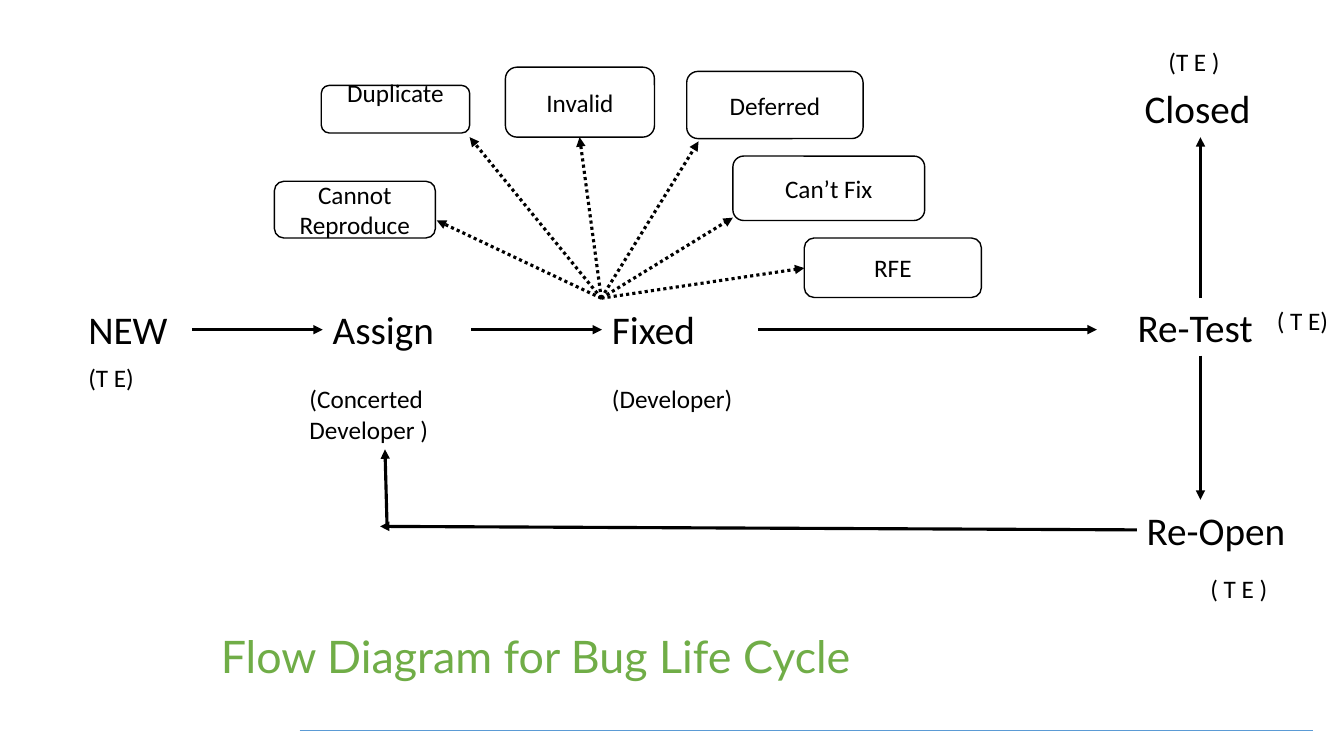
from lxml import etree
from pptx import Presentation
from pptx import util as u
from pptx.dml.color import RGBColor
from pptx.enum import dml, shapes, text
from pptx.oxml.ns import qn

BLACK, WHITE, GREEN, BLUE = "000000", "FFFFFF", "70AD47", "5B9BD5"
HUB = (429.5, 213)
FLOW_Y = 235.5
TEST_X = 857.5

STEPS = [
    ("NEW ", 56, 214.5, 81.5),
    ("Assign", 230.5, 214.5, 106),
    ("Fixed", 430, 214.5, 111.5),
    ("Re-Test", 805.5, 213, 103),
    ("Re-Open", 812, 358, 124),
]
ROLES = [
    ("(T E)", 56, 255.5, 81.5, 29),
    ("(Concerted Developer )", 214, 270.5, 122.5, 51),
    ("(Developer)", 430, 270.5, 111.5, 29),
    ("(T E )", 827.5, 29.5, 81.5, 29),
    ("( T E)", 905, 214.5, 55.5, 29),
    ("( T E )", 857.5, 406, 70, 29),
]
OUTCOMES = [
    ("Cannot Reproduce", 196, 129.5, 115, 40.5),
    ("Duplicate", 229.5, 61, 106, 34),
    ("Invalid", 361, 48, 106.5, 50),
    ("Deferred", 490.5, 51, 126, 48),
    ("Can’t Fix", 523.5, 111.5, 137, 46),
    ("RFE", 574.5, 170, 126.5, 42.5),
]
OUTCOME_TIPS = [(312, 157.5), (335.5, 98), (414, 98),
                (499, 101), (523.5, 155.5), (574.5, 191.5)]
ARROWS = [
    ((137, FLOW_Y), (230.5, FLOW_Y)),
    ((336.5, FLOW_Y), (430, FLOW_Y)),
    ((541.5, FLOW_Y), (783.5, FLOW_Y)),
    ((TEST_X, 213), (TEST_X, 98)),
    ((TEST_X, 254), (TEST_X, 357)),
    ((812, 378.5), (271.5, 376)),
    ((276.5, 376.5), (275, 321)),
]


def rgb(value):
    """Return the colour for a hex string."""
    return RGBColor.from_string(value)


def write(sp, words, size, color=BLACK, font="Calibri", align=text.PP_ALIGN.LEFT):
    """Put one formatted paragraph into a shape."""
    tf = sp.text_frame
    tf.word_wrap = True
    p = tf.paragraphs[0]
    p.text = words
    p.alignment = align
    p.font.size = u.Pt(size)
    p.font.name = font
    p.font.color.rgb = rgb(color)
    return tf


def label(s, words, x, y, w, h, size):
    """Add a plain text box."""
    sp = s.shapes.add_textbox(u.Pt(x), u.Pt(y), u.Pt(w), u.Pt(h))
    write(sp, words, size)


def box(s, words, x, y, w, h, kind, line, size, align):
    """Add a white shape with a thin line and return its text frame."""
    sp = s.shapes.add_shape(kind, u.Pt(x), u.Pt(y), u.Pt(w), u.Pt(h))
    sp.shadow.inherit = False
    sp.fill.solid()
    sp.fill.fore_color.rgb = rgb(WHITE)
    sp.line.color.rgb = rgb(line)
    sp.line.width = u.Pt(1)
    return write(sp, words, size, align=align)


def line(s, start, end, color=BLACK, width=2.25, dotted=False, arrow=True):
    """Add a straight line, by default with an arrowhead at its end."""
    points = [u.Pt(v) for v in (*start, *end)]
    c = s.shapes.add_connector(shapes.MSO_CONNECTOR.STRAIGHT, *points)
    c.line.color.rgb = rgb(color)
    c.line.width = u.Pt(width)
    if dotted:
        c.line.dash_style = dml.MSO_LINE.ROUND_DOT
    if arrow:
        etree.SubElement(c.line._get_or_add_ln(), qn("a:tailEnd"), type="triangle")
    etree.SubElement(c._element.spPr, qn("a:effectLst"))


def title(s, words, x, y, w, h):
    """Place and format the slide title."""
    sp = s.shapes.title
    sp.left, sp.top, sp.width, sp.height = (u.Pt(v) for v in (x, y, w, h))
    tf = write(sp, words, 32, GREEN, "Lato")
    tf.auto_size = text.MSO_AUTO_SIZE.NONE
    tf.vertical_anchor = text.MSO_ANCHOR.TOP


def main():
    """Build the bug life cycle slide."""
    prs = Presentation()
    prs.slide_width, prs.slide_height = u.Pt(960), u.Pt(540)
    s = prs.slides.add_slide(prs.slide_layouts[5])
    title(s, "Flow Diagram for Bug Life Cycle", 150.5, 445.5, 651.5, 46)
    line(s, (214, 522), (938, 522), BLUE, 0.5, arrow=False)
    for words, x, y, w in STEPS:
        label(s, words, x, y, w, 41, 28)
    box(s, "Closed", 810.5, 57, 94.5, 41, shapes.MSO_SHAPE.RECTANGLE, WHITE, 28,
        text.PP_ALIGN.LEFT).vertical_anchor = text.MSO_ANCHOR.TOP
    for outcome in OUTCOMES:
        tf = box(s, *outcome, shapes.MSO_SHAPE.ROUNDED_RECTANGLE, BLACK, 18,
                 text.PP_ALIGN.CENTER)
        if outcome[0] == "Duplicate":
            tf.vertical_anchor = text.MSO_ANCHOR.BOTTOM
            tf.margin_top, tf.margin_bottom = 0, u.Pt(16.5)
    for start, end in ARROWS:
        line(s, start, end)
    for tip in OUTCOME_TIPS:
        line(s, HUB, tip, dotted=True)
    for role in ROLES:
        label(s, *role, 18)
    prs.save("out.pptx")


if __name__ == "__main__":
    main()
